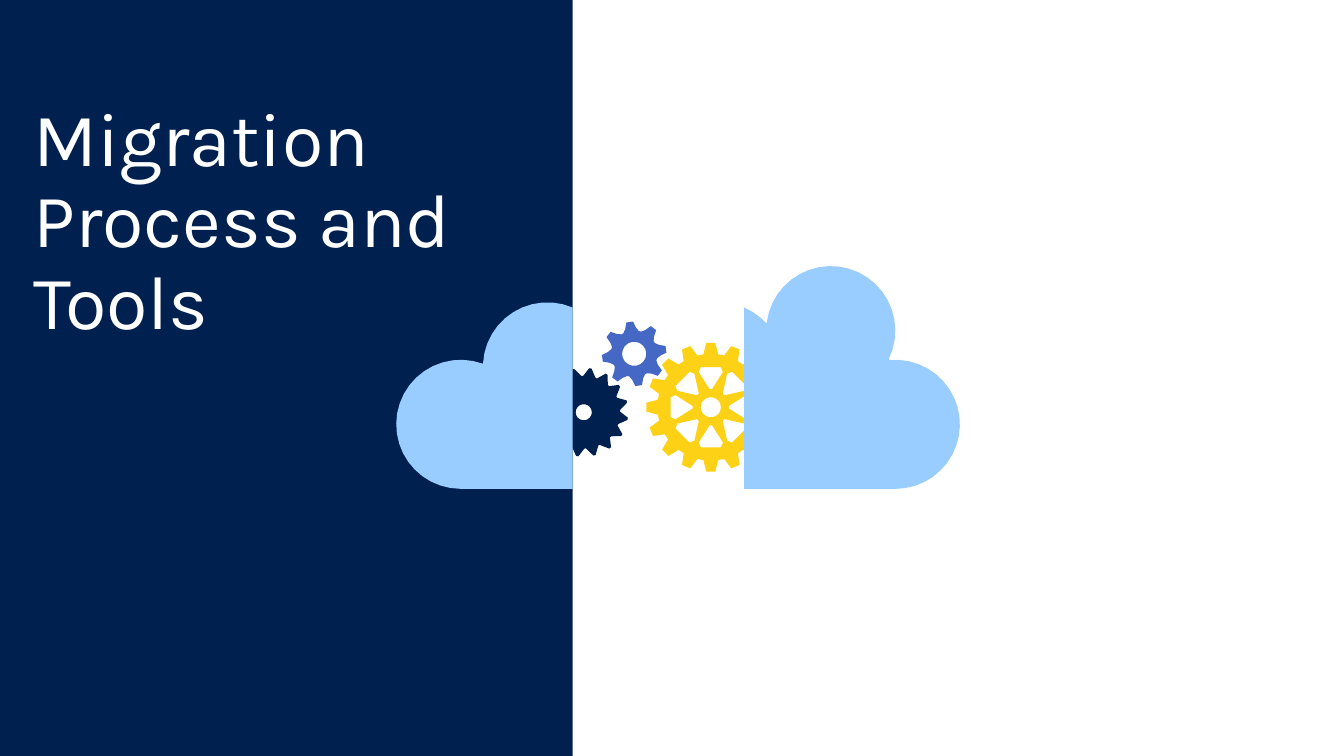
from dataclasses import dataclass
from math import cos, radians, sin

from pptx import Presentation
from pptx import util as u
from pptx.dml.color import RGBColor
from pptx.enum import shapes, text

NAVY = RGBColor(0x00, 0x20, 0x50)
BLUE = RGBColor(0x46, 0x68, 0xC5)
GOLD = RGBColor(0xFC, 0xD1, 0x16)
SKY = RGBColor(0x99, 0xCC, 0xFF)
WHITE = RGBColor(0xFF, 0xFF, 0xFF)

Point = tuple[float, float]
Path = list[Point]


@dataclass
class Arc:
    """Part of a circle, angles in degrees, clockwise from the right."""
    x: float
    y: float
    rad: float
    start: float
    end: float
    step: float = 9

    def points(self) -> Path:
        count = max(2, round((self.end - self.start) / self.step))
        turn = (self.end - self.start) / count
        return [polar(self.x, self.y, self.rad, self.start + i * turn)
                for i in range(count + 1)]


@dataclass
class Gear:
    """A wheel; tooth and window list (radius, angle) for one repeat."""
    x: float
    y: float
    teeth: int
    turn: float
    tooth: Path
    hole: float
    color: RGBColor
    windows: int = 0
    window: tuple[Point, ...] = ()

    def ring(self, count: int, turn: float, part) -> list[Path]:
        return [[polar(self.x, self.y, rad, turn + i * 360 / count + ang)
                 for rad, ang in part] for i in range(count)]

    def paths(self) -> list[Path]:
        rim = sum(self.ring(self.teeth, self.turn, self.tooth), [])
        hub = Arc(self.x, self.y, self.hole, 0, 360, 20).points()[:-1]
        cuts = self.ring(self.windows, 0, self.window)
        return [rim, hub, *cuts]


@dataclass
class Cloud:
    base: Path
    arcs: list[Arc]
    color: RGBColor = SKY

    def paths(self) -> list[Path]:
        return [self.base + sum((arc.points() for arc in self.arcs), [])]


def polar(x: float, y: float, rad: float, ang: float) -> Point:
    return x + rad * cos(radians(ang)), y + rad * sin(radians(ang))


def mirror(half: Path) -> Path:
    """Complete a symmetric profile from its positive angles."""
    return [(rad, -ang) for rad, ang in reversed(half)] + half


def paint(shape, color: RGBColor) -> None:
    shape.shadow.inherit = False
    shape.fill.solid()
    shape.fill.fore_color.rgb = color
    shape.line.fill.background()


def draw(group, item: Gear | Cloud) -> None:
    build = None
    for path in item.paths():
        (x, y), *rest = [(u.Inches(x), u.Inches(y)) for x, y in path]
        if build is None:
            build = group.shapes.build_freeform(x, y)
        else:
            build.move_to(x, y)
        build.add_line_segments(rest, close=True)
    paint(build.convert_to_shape(), item.color)


def style(target, form: dict) -> None:
    for name, value in form.items():
        setattr(target, name, value)


# Gears, from back to front
GEARS = [
    Gear(6.29, 3.51, 8, -98,
         mirror([(0.32, 6), (0.26, 12), (0.23, 20)]), 0.12, BLUE),
    Gear(5.79, 4.09, 16, -81,
         [(0.36, -10), (0.44, -2), (0.44, 1), (0.36, 10)], 0.08, NAVY),
    Gear(7.05, 4.04, 16, -90,
         mirror([(0.64, 4), (0.53, 8)]), 0.1, GOLD, 8,
         tuple(mirror([(0.18, 4), (0.37, 19), (0.41, 14)]))),
]

# Clouds, cut straight on the inner side
CLOUDS = [
    Cloud([(5.68, 4.85)],
          [Arc(4.57, 4.21, 0.64, 90, 290), Arc(5.43, 3.64, 0.64, 183, 293)]),
    Cloud([(7.38, 4.85)],
          [Arc(7.13, 3.64, 0.64, -67, -42), Arc(8.24, 3.28, 0.64, 187, 386),
           Arc(8.88, 4.21, 0.64, -95, 90)]),
]


def main() -> None:
    deck = Presentation()
    style(deck, {"slide_width": u.Inches(13.33),
                 "slide_height": u.Inches(7.5)})
    slide = deck.slides.add_slide(deck.slide_layouts[6])

    # Navy side panel
    panel = slide.shapes.add_shape(
        shapes.MSO_SHAPE.RECTANGLE, 0, 0, u.Inches(5.68), u.Inches(7.5))
    paint(panel, NAVY)

    # Title
    box = slide.shapes.add_textbox(
        *map(u.Inches, (0.13, 0.84, 5.37, 4.26)))
    frame = box.text_frame
    style(frame, {
        "word_wrap": True,
        "auto_size": text.MSO_AUTO_SIZE.SHAPE_TO_FIT_TEXT,
        "vertical_anchor": text.MSO_ANCHOR.TOP,
        "margin_left": u.Inches(0.2), "margin_right": u.Inches(0.2),
        "margin_top": u.Inches(0.16), "margin_bottom": u.Inches(0.16),
    })
    para = frame.paragraphs[0]
    style(para, {"line_spacing": 0.9, "space_after": u.Pt(6)})
    run = para.add_run()
    run.text = "Migration Process and Tools"
    style(run.font, {"name": "Karla", "size": u.Pt(54)})
    run.font.color.rgb = WHITE

    # Gears turning between two clouds
    group = slide.shapes.add_group_shape()
    for item in GEARS + CLOUDS:
        draw(group, item)

    deck.save("out.pptx")


if __name__ == "__main__":
    main()
